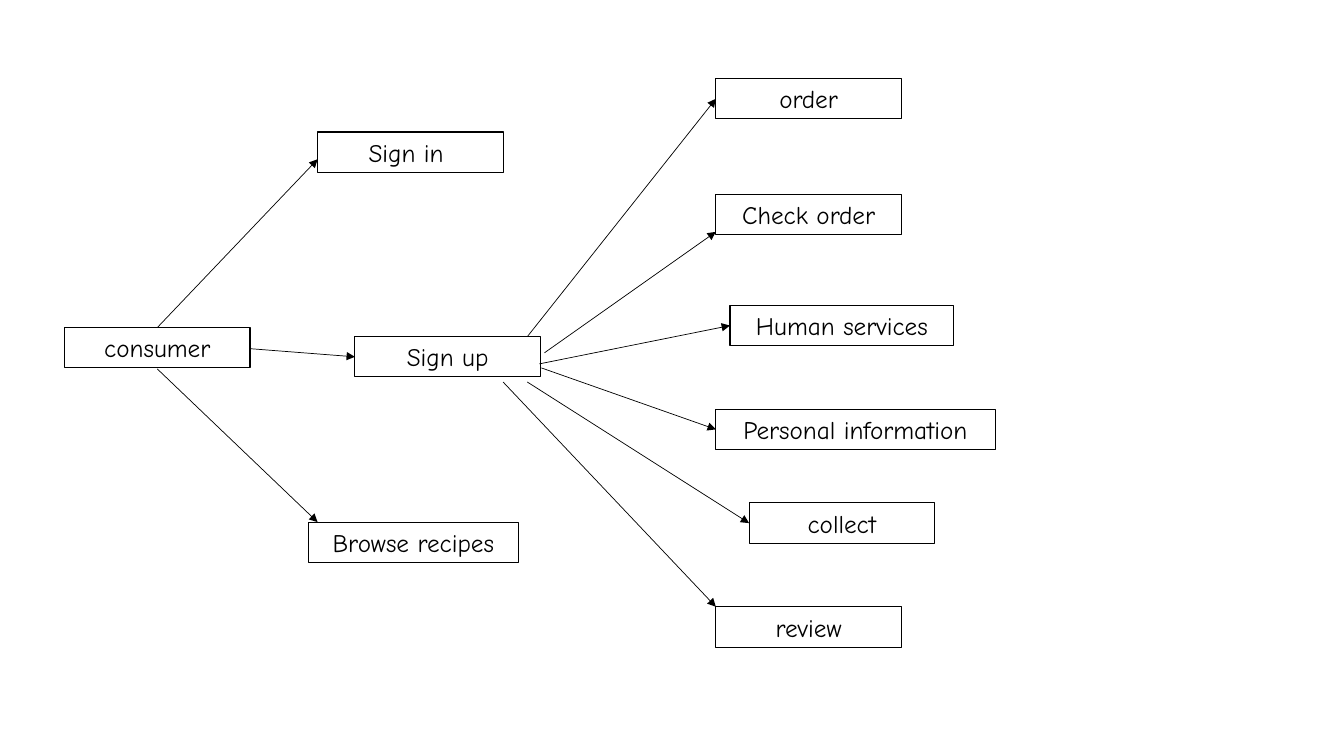
from pptx import Presentation
from pptx.dml.color import RGBColor
from pptx.enum.shapes import MSO_CONNECTOR, MSO_SHAPE
from pptx.enum.text import MSO_ANCHOR, MSO_AUTO_SIZE, PP_ALIGN
from pptx.oxml.ns import qn
from pptx.util import Pt
from lxml.etree import SubElement

PX = 9144  # 100 px to the inch
BOX_WIDTH, BOX_HEIGHT = 184, 40
MIDDLE = (0, 20)  # middle of a box's left edge
BLACK = "000000"

FRAME_FORMAT = {
    "word_wrap": True,
    "auto_size": MSO_AUTO_SIZE.SHAPE_TO_FIT_TEXT,
    "vertical_anchor": MSO_ANCHOR.MIDDLE,
}
FONT_FORMAT = {"name": "Comic Neue", "size": Pt(18)}

# text, offset from the source box, width, arrow start in source, arrow end in target
CONSUMER_BRANCHES = [
    ("Sign in ", (251, -194), BOX_WIDTH, (92, 0), (0, 27)),
    ("Sign up", (288, 9), BOX_WIDTH, (185, 21), MIDDLE),
    ("Browse recipes", (242, 193), 208, (92, 41), (9, 0)),
]
SIGN_UP_BRANCHES = [
    ("order", (358, -256), BOX_WIDTH, (171, 0), MIDDLE),
    ("Check order", (358, -141), BOX_WIDTH, (188, 16), (0, 37)),
    ("Human services", (372, -31), 222, (183, 27), MIDDLE),
    ("Personal information", (358, 72), 277, (185, 31), MIDDLE),
    ("collect", (391, 165), BOX_WIDTH, (171, 45), MIDDLE),
    ("review", (358, 268), BOX_WIDTH, (147, 45), (0, 0)),
]


def color(hex_string):
    return RGBColor.from_string(hex_string)


def apply_format(target, values):
    for name, value in values.items():
        setattr(target, name, value)


def shift(point, offset):
    return point[0] + offset[0], point[1] + offset[1]


def add_box(slide, text, corner, width=BOX_WIDTH):
    lengths = [length * PX for length in (*corner, width, BOX_HEIGHT)]
    shape = slide.shapes.add_shape(MSO_SHAPE.RECTANGLE, *lengths)
    shape.shadow.inherit = False
    shape.fill.background()
    shape.line.color.rgb = color(BLACK)
    shape.line.width = Pt(0.75)
    apply_format(shape.text_frame, FRAME_FORMAT)
    paragraph = shape.text_frame.paragraphs[0]
    paragraph.alignment = PP_ALIGN.CENTER
    run = paragraph.add_run()
    run.text = text
    apply_format(run.font, FONT_FORMAT)
    run.font.color.rgb = color(BLACK)


def add_arrow(slide, start, end):
    lengths = [length * PX for length in (*start, *end)]
    connector = slide.shapes.add_connector(MSO_CONNECTOR.STRAIGHT, *lengths)
    connector.line.color.rgb = color(BLACK)
    connector.line.width = Pt(0.5)
    SubElement(connector.line._get_or_add_ln(), qn("a:tailEnd"), type="triangle")
    SubElement(connector._element.spPr, qn("a:effectLst"))


def add_branches(slide, source, branches):
    """Draw target boxes and arrows around a source corner; return target corners."""
    corners = {}
    for text, offset, width, start, end in branches:
        corner = shift(source, offset)
        add_box(slide, text, corner, width)
        add_arrow(slide, shift(source, start), shift(corner, end))
        corners[text] = corner
    return corners


def main():
    presentation = Presentation()
    presentation.slide_width = 1333 * PX
    presentation.slide_height = 750 * PX
    slide = presentation.slides.add_slide(presentation.slide_layouts[6])
    consumer = (64, 325)
    add_box(slide, "consumer", consumer)
    corners = add_branches(slide, consumer, CONSUMER_BRANCHES)
    add_branches(slide, corners["Sign up"], SIGN_UP_BRANCHES)
    presentation.save("out.pptx")


if __name__ == "__main__":
    main()
